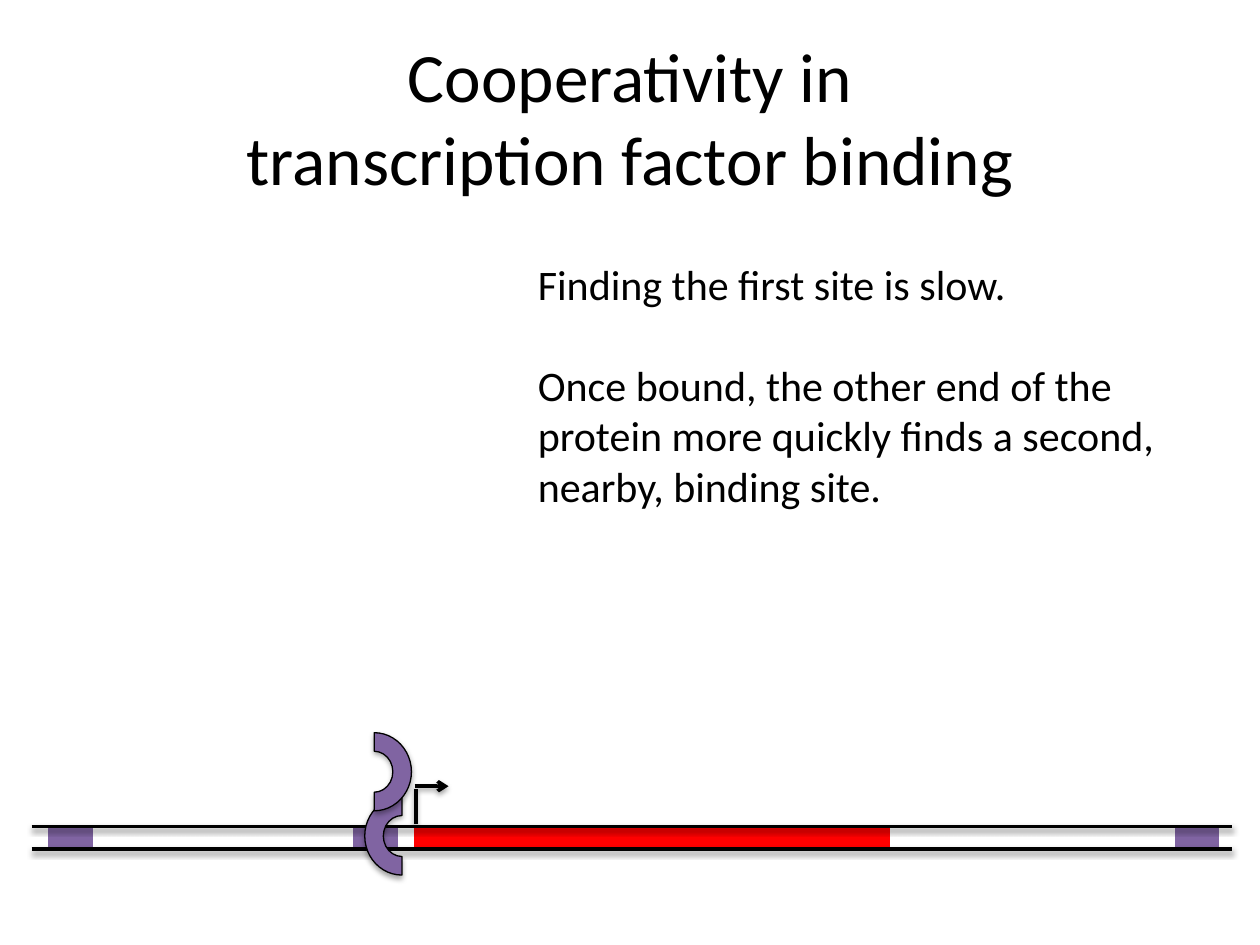
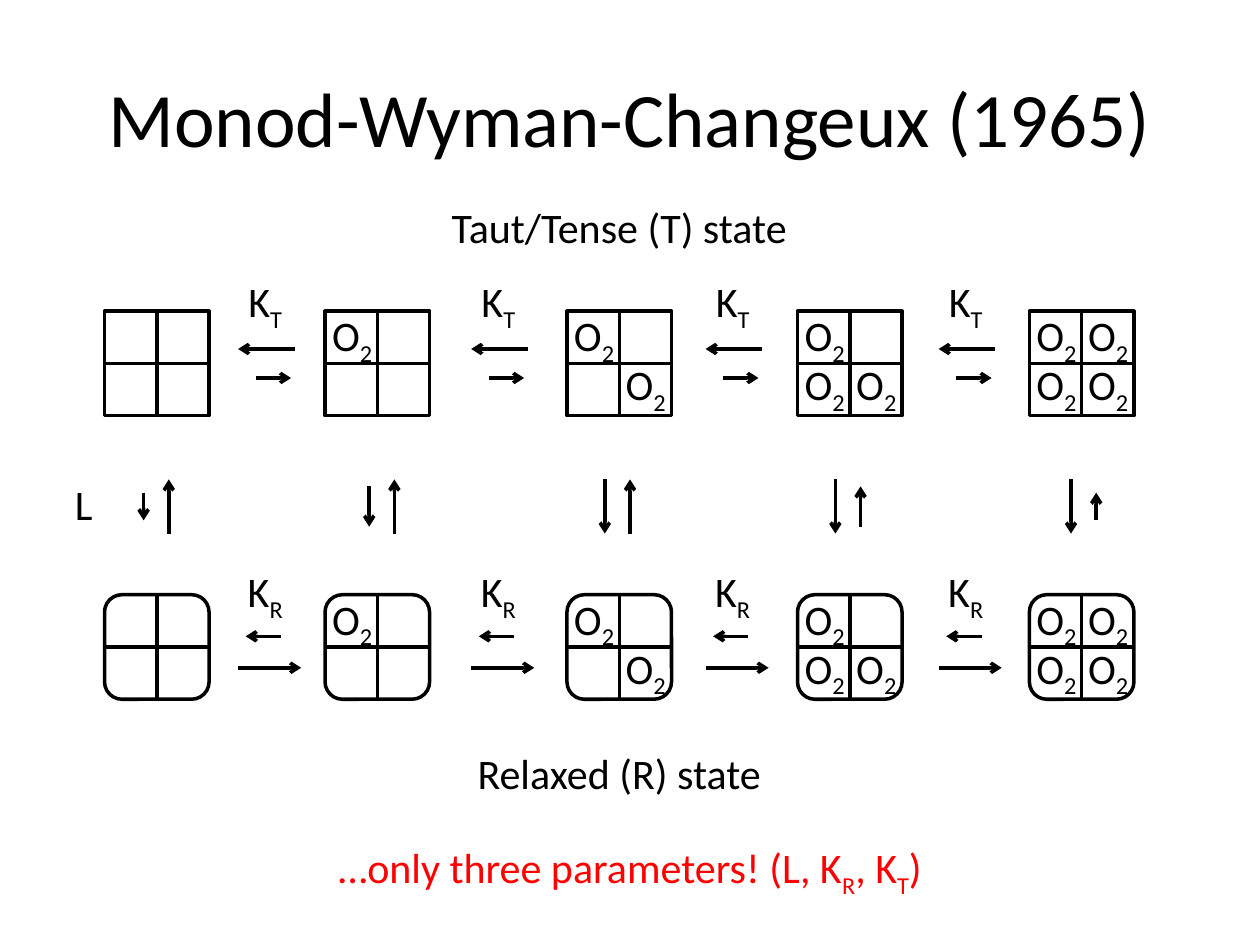
"""Build two slides on cooperative binding."""
from dataclasses import dataclass

from lxml.etree import SubElement
from pptx import Presentation
from pptx.dml.color import RGBColor
from pptx.enum.shapes import MSO_CONNECTOR, MSO_SHAPE
from pptx.enum.text import MSO_ANCHOR, PP_ALIGN
from pptx.oxml.ns import qn
from pptx.util import Emu, Pt

EMU_PER_PX = 9144


@dataclass(frozen=True)
class Theme:
    """Colours, font and sizes shared by both slides."""
    ink: RGBColor = RGBColor(0x00, 0x00, 0x00)
    paper: RGBColor = RGBColor(0xFF, 0xFF, 0xFF)
    accent: RGBColor = RGBColor(0xFF, 0x00, 0x00)
    protein: RGBColor = RGBColor(0x80, 0x64, 0xA2)
    font: str = "Calibri"
    title: float = 44
    long_title: float = 39.6
    body: float = 24
    stroke: float = 2
    outline: float = 0.75


THEME = Theme()


def px(length):
    """Turn px into EMU."""
    return Emu(round(length * EMU_PER_PX))


def style_runs(paragraph, size, color):
    """Give every run of a paragraph the theme font."""
    for run in paragraph.runs:
        run.font.name = THEME.font
        run.font.size = Pt(size)
        run.font.color.rgb = color


def add_text(slide, box, paragraphs, size=THEME.body, color=THEME.ink,
             align=PP_ALIGN.CENTER, anchor=MSO_ANCHOR.TOP, gap=0):
    """Add wrapped text, with a gap between its paragraphs."""
    frame = slide.shapes.add_textbox(*map(px, box)).text_frame
    frame.word_wrap = True
    frame.vertical_anchor = anchor
    frame.text = "\n".join(paragraphs)
    for index, paragraph in enumerate(frame.paragraphs):
        paragraph.alignment = align
        if index and gap:
            paragraph.space_before = Pt(gap)
        style_runs(paragraph, size, color)


def add_formula(slide, box, parts, color=THEME.ink):
    """Add a centred line whose every second part is a subscript."""
    frame = slide.shapes.add_textbox(*map(px, box)).text_frame
    frame.word_wrap = True
    paragraph = frame.paragraphs[0]
    paragraph.alignment = PP_ALIGN.CENTER
    for index, part in enumerate(parts):
        run = paragraph.add_run()
        run.text = part
        if index % 2:
            run.font._element.set("baseline", "-25000")
    style_runs(paragraph, THEME.body, color)


def add_title(slide, lines, size=THEME.title):
    """Add the centred slide title."""
    add_text(slide, (50, 30, 900, 125), ["\v".join(lines)], size,
             anchor=MSO_ANCHOR.MIDDLE)


def add_block(slide, kind, box, fill, line, width=THEME.stroke):
    """Add a preset shape, hollow when fill is None."""
    block = slide.shapes.add_shape(kind, *map(px, box))
    block.shadow.inherit = False
    if fill is None:
        block.fill.background()
    else:
        block.fill.solid()
        block.fill.fore_color.rgb = fill
    block.line.color.rgb = line
    block.line.width = Pt(width)
    return block


def add_line(slide, start, end, arrow=False):
    """Add a straight line, with an arrowhead at its end on request."""
    line = slide.shapes.add_connector(MSO_CONNECTOR.STRAIGHT, *map(px, start + end))
    line.line.color.rgb = THEME.ink
    line.line.width = Pt(THEME.stroke)
    properties = line._element.spPr
    if arrow:
        SubElement(properties.find(qn("a:ln")), qn("a:tailEnd"), type="arrow")
    SubElement(properties, qn("a:effectLst"))
    return line


def cast_shadow(item, distance, opacity):
    """Drop a soft black shadow straight below an item."""
    effects = item._element.spPr.find(qn("a:effectLst"))
    shadow = SubElement(effects, qn("a:outerShdw"), blurRad=str(Pt(3.1)),
                        dist=str(Pt(distance)), dir="5400000", rotWithShape="0")
    shade = SubElement(shadow, qn("a:srgbClr"), val=str(THEME.ink))
    SubElement(shade, qn("a:alpha"), val=str(opacity * 1000))


def draw_gene(slide, left, top, length):
    """Draw the DNA strands, binding sites, gene and bound dimer."""
    segments = [(x, 38, 20, THEME.protein) for x in (254, 12, 906)]
    segments.append((302, 381, 21, THEME.accent))
    for x, width, height, fill in segments:
        add_block(slide, MSO_SHAPE.RECTANGLE, (left + x, top - 1, width, height),
                  fill, THEME.paper)
    strokes = [((0, 0), (length, 0), False), ((0, 18), (length, 18), False),
               ((305, -2), (305, -30), False), ((304, -32), (331, -32), True)]
    for (x1, y1), (x2, y2), arrow in strokes:
        stroke = add_line(slide, (left + x1, top + y1), (left + x2, top + y2), arrow)
        cast_shadow(stroke, 1.6, 38)
    for x, y, rotation in ((263, -22, 270), (241, -73, 90)):
        subunit = add_block(slide, MSO_SHAPE.BLOCK_ARC, (left + x, top + y, 62, 59),
                            THEME.protein, THEME.ink, THEME.outline)
        subunit.rotation = rotation
        cast_shadow(subunit, 1.8, 35)


def draw_tetramer(slide, left, top, kind, bound_sites):
    """Draw a four-part protein with oxygen at (column, row) sites."""
    side = 83
    protein = add_block(slide, kind, (left, top, side, side), None, THEME.ink)
    middle = side / 2
    across = add_line(slide, (left, top + middle), (left + side, top + middle))
    across.begin_connect(protein, 1)
    across.end_connect(protein, 3)
    down = add_line(slide, (left + middle, top), (left + middle, top + side))
    down.begin_connect(protein, 0)
    down.end_connect(protein, 2)
    for column, row in bound_sites:
        add_formula(slide, (left - 12 + 41 * column, top - 6 + 39 * row, 67, 50),
                    ("O", "2"))


def draw_state(slide, left, top, kind, constant, label_y, arrows):
    """Draw one row of tetramers with the exchanges between them."""
    filling = [(0, 0), (1, 1), (0, 1), (1, 0)]
    for bound, x in enumerate((0, 175, 367, 550, 734)):
        draw_tetramer(slide, left + x, top, kind, filling[:bound])
    for step in range(4):
        x = left + 106 + round(step * 556 / 3)
        add_formula(slide, (x - 12, top + label_y, 67, 50), ("K", constant))
        for start, end, y in arrows:
            add_line(slide, (x + start, top + y), (x + end, top + y), True)


def draw_transitions(slide, left, middle):
    """Draw the paired vertical arrows between the two states."""
    add_text(slide, (left - 81, middle - 27, 67, 50), ["L"])
    lengths = (22, 32, 43, 43, 43)
    for x, fall, rise in zip((0, 179, 366, 549, 736), lengths, lengths[::-1]):
        for offset, reach in ((0, fall), (20, -rise)):
            add_line(slide, (left + x + offset, middle - reach / 2),
                     (left + x + offset, middle + reach / 2), True)


def build_binding(slide):
    """Build the transcription factor slide."""
    add_title(slide, ["Cooperativity in", "transcription factor binding"],
              THEME.long_title)
    add_text(slide, (417, 200, 558, 212),
             ["Finding the first site is slow.",
              "Once bound, the other end of the protein more quickly finds "
              "a second, nearby, binding site."],
             align=PP_ALIGN.LEFT, gap=29)
    draw_gene(slide, 25, 656, 953)


def build_two_states(slide):
    """Build the two-state model slide."""
    add_title(slide, ["Monod-Wyman-Changeux (1965)"])
    add_text(slide, (258, 155, 467, 50), ["Taut/Tense (T) state"])
    add_text(slide, (258, 588, 467, 50), ["Relaxed (R) state"])
    draw_state(slide, 83, 247, MSO_SHAPE.RECTANGLE, "T", -33,
               [(45, 0, 30), (14, 42, 53)])
    draw_state(slide, 83, 472, MSO_SHAPE.ROUNDED_RECTANGLE, "R", -28,
               [(34, 6, 33), (0, 50, 58)])
    draw_transitions(slide, 114, 402)
    add_formula(slide, (139, 663, 722, 50),
                ("…only three parameters! (L, K", "R", ", K", "T", ")"),
                THEME.accent)


def main():
    """Build and save the presentation."""
    deck = Presentation()
    deck.slide_width, deck.slide_height = px(1000), px(750)
    for build in (build_binding, build_two_states):
        build(deck.slides.add_slide(deck.slide_layouts[6]))
    deck.save("out.pptx")


if __name__ == "__main__":
    main()
